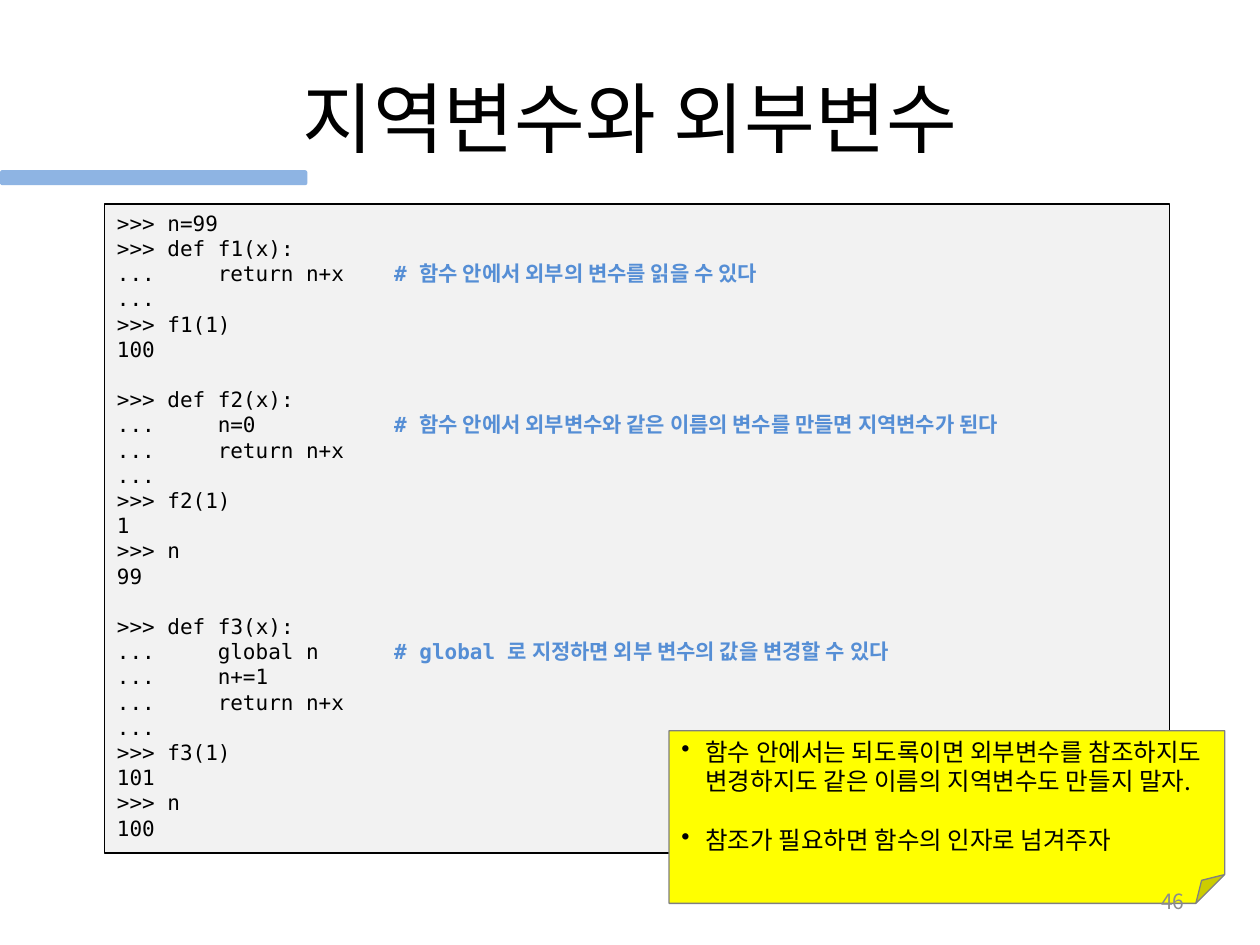
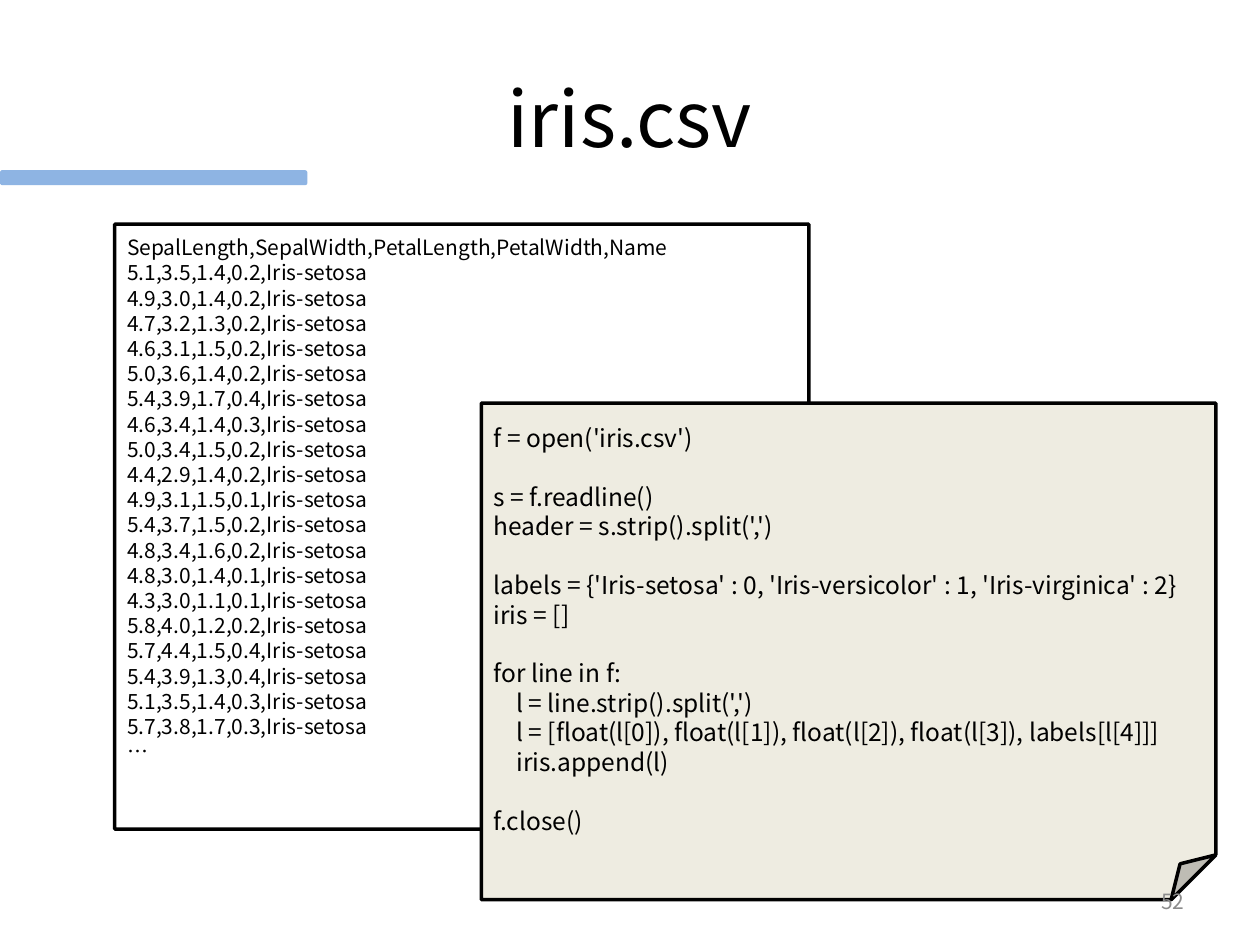
from lxml import etree
from pptx import Presentation
from pptx.dml.color import RGBColor
from pptx.enum.shapes import MSO_SHAPE
from pptx.enum.text import MSO_ANCHOR, PP_ALIGN
from pptx.oxml.ns import qn
from pptx.util import Inches, Pt

RECT, ROUND, FOLD = MSO_SHAPE.RECTANGLE, MSO_SHAPE.ROUNDED_RECTANGLE, MSO_SHAPE.FOLDED_CORNER
TOP, MIDDLE = MSO_ANCHOR.TOP, MSO_ANCHOR.MIDDLE
LEFT, CENTER, RIGHT = PP_ALIGN.LEFT, PP_ALIGN.CENTER, PP_ALIGN.RIGHT

SANS, MONO = "Noto Sans CJK KR", "DejaVu Sans Mono"
LINE = 1.2  # line height as a multiple of the text size
COLORS = {
    "ink": "000000", "paper": "FFFFFF", "code": "F2F2F2", "remark": "558ED5",
    "note": "FFFF00", "edge": "808080", "page": "8C8C8C", "band": "8EB4E3",
    "cream": "EEECE1",
}

# Tabs stand for the code columns; a blank line opens a gap.
SCOPE = """\
>>> n=99
>>> def f1(x):
...\treturn n+x\t# 함수 안에서 외부의 변수를 읽을 수 있다
...
>>> f1(1)
100

>>> def f2(x):
...\tn=0\t# 함수 안에서 외부변수와 같은 이름의 변수를 만들면 지역변수가 된다
...\treturn n+x
...
>>> f2(1)
1
>>> n
99

>>> def f3(x):
...\tglobal n\t# global 로 지정하면 외부 변수의 값을 변경할 수 있다
...\tn+=1
...\treturn n+x
...
>>> f3(1)
101
>>> n
100"""

ADVICE = """\
함수 안에서는 되도록이면 외부변수를 참조하지도 변경하지도 같은 이름의 지역변수도 만들지 말자.

참조가 필요하면 함수의 인자로 넘겨주자"""

ROWS = """\
SepalLength,SepalWidth,PetalLength,PetalWidth,Name
5.1,3.5,1.4,0.2,Iris-setosa
4.9,3.0,1.4,0.2,Iris-setosa
4.7,3.2,1.3,0.2,Iris-setosa
4.6,3.1,1.5,0.2,Iris-setosa
5.0,3.6,1.4,0.2,Iris-setosa
5.4,3.9,1.7,0.4,Iris-setosa
4.6,3.4,1.4,0.3,Iris-setosa
5.0,3.4,1.5,0.2,Iris-setosa
4.4,2.9,1.4,0.2,Iris-setosa
4.9,3.1,1.5,0.1,Iris-setosa
5.4,3.7,1.5,0.2,Iris-setosa
4.8,3.4,1.6,0.2,Iris-setosa
4.8,3.0,1.4,0.1,Iris-setosa
4.3,3.0,1.1,0.1,Iris-setosa
5.8,4.0,1.2,0.2,Iris-setosa
5.7,4.4,1.5,0.4,Iris-setosa
5.4,3.9,1.3,0.4,Iris-setosa
5.1,3.5,1.4,0.3,Iris-setosa
5.7,3.8,1.7,0.3,Iris-setosa
…"""

READER = """\
f = open('iris.csv')

s = f.readline()
header = s.strip().split(',')

labels = {'Iris-setosa' : 0, 'Iris-versicolor' : 1, 'Iris-virginica' : 2}
iris = []

for line in f:
\tl = line.strip().split(',')
\tl = [float(l[0]), float(l[1]), float(l[2]), float(l[3]), labels[l[4]]]
\tiris.append(l)

f.close()"""


def color(name):
    """Return a named colour."""
    return RGBColor.from_string(COLORS[name])


def add_run(para, text, size, font, ink, bold=False):
    """Add one formatted run, with Korean glyphs in the sans font."""
    run = para.add_run()
    run.text = text
    run.font.size, run.font.name, run.font.bold = Pt(size), font, bold
    run.font.color.rgb = color(ink)
    etree.SubElement(run.font._element, qn("a:ea"), typeface=SANS)


def write(frame, text, size=12, font=SANS, ink="ink", align=LEFT, anchor=TOP,
          exact=True, bullet=None, stops=(), remark=None):
    """Fill a frame line by line; blank lines become space before the next."""
    frame.word_wrap = True
    frame.vertical_anchor = anchor
    para, gap = frame.paragraphs[0], False
    for line in text.split("\n"):
        if not line:
            gap = True
            continue
        if para is None:
            para = frame.add_paragraph()
        para.alignment = align
        if exact:
            para.line_spacing = Pt(size * LINE)
            para.space_before = Pt(size * LINE if gap else 0)
        props = para._p.get_or_add_pPr()
        if bullet:
            props.set("marL", str(Inches(0.19)))
            props.set("indent", str(-Inches(0.19)))
            etree.SubElement(props, qn("a:buChar"), char=bullet)
        if "\t" in line:
            tabs = etree.SubElement(props, qn("a:tabLst"))
            for stop in stops:
                etree.SubElement(tabs, qn("a:tab"), pos=str(Inches(stop)), algn="l")
        code, mark, rest = line.partition("#") if remark else (line, "", "")
        add_run(para, code, size, font, ink)
        if mark:
            add_run(para, mark + rest, size, font, remark, bold=True)
        para, gap = None, False


class Deck:
    """Holds the presentation and the slide being drawn."""

    def __init__(self):
        """Start an empty 10 by 7.5 inch deck."""
        self.prs = Presentation()
        self.prs.slide_width, self.prs.slide_height = Inches(10), Inches(7.5)
        self.slide = None

    def start(self, title):
        """Open a slide with its title."""
        self.slide = self.prs.slides.add_slide(self.prs.slide_layouts[5])
        head = self.slide.shapes.title
        head.left, head.top = Inches(0.5), Inches(0.3)
        head.width, head.height = Inches(9), Inches(1.25)
        write(head.text_frame, title, size=44, align=CENTER, anchor=MIDDLE, exact=False)

    def box(self, kind, at, fill, edge=None, width=0.75, fold=None, text=None, **style):
        """Draw a filled shape, with an outline and text if given."""
        shape = self.slide.shapes.add_shape(kind, *map(Inches, at))
        shape.shadow.inherit = False
        shape.fill.solid()
        shape.fill.fore_color.rgb = color(fill)
        if edge:
            shape.line.color.rgb = color(edge)
            shape.line.width = Pt(width)
        else:
            shape.line.fill.background()
        if fold:
            for guides in shape._element.iter(qn("a:avLst")):
                etree.SubElement(guides, qn("a:gd"), name="adj",
                                 fmla=f"val {round(fold * 100000)}")
        if text:
            write(shape.text_frame, text, **style)

    def sheet(self, at, fill, text, **style):
        """Draw a heavy sheet with a folded corner."""
        self.box(FOLD, at, fill, "ink", 2, 0.09, text, anchor=MIDDLE, **style)

    def finish(self, page):
        """Add the page number and the band under the title."""
        area = self.slide.shapes.add_textbox(*map(Inches, (7.17, 6.95, 2.33, 0.4)))
        write(area.text_frame, str(page), ink="page", align=RIGHT, anchor=MIDDLE, exact=False)
        self.box(ROUND, (0, 1.35, 2.44, 0.12), "band")


def main():
    """Build both slides and save them."""
    deck = Deck()

    deck.start("지역변수와 외부변수")
    deck.box(RECT, (0.83, 1.62, 8.45, 5.15), "code", "ink", text=SCOPE,
             font=MONO, stops=(0.8, 2.2), remark="remark")
    deck.box(FOLD, (5.31, 5.8, 4.41, 1.37), "note", "edge", text=ADVICE,
             size=14, bullet="•")
    deck.finish(46)

    deck.start("iris.csv")
    deck.sheet((0.91, 1.78, 5.51, 4.8), "paper", ROWS)
    deck.sheet((3.82, 3.2, 5.83, 3.94), "cream", READER, size=14, stops=(0.18,))
    deck.finish(52)

    deck.prs.save("out.pptx")


main()
